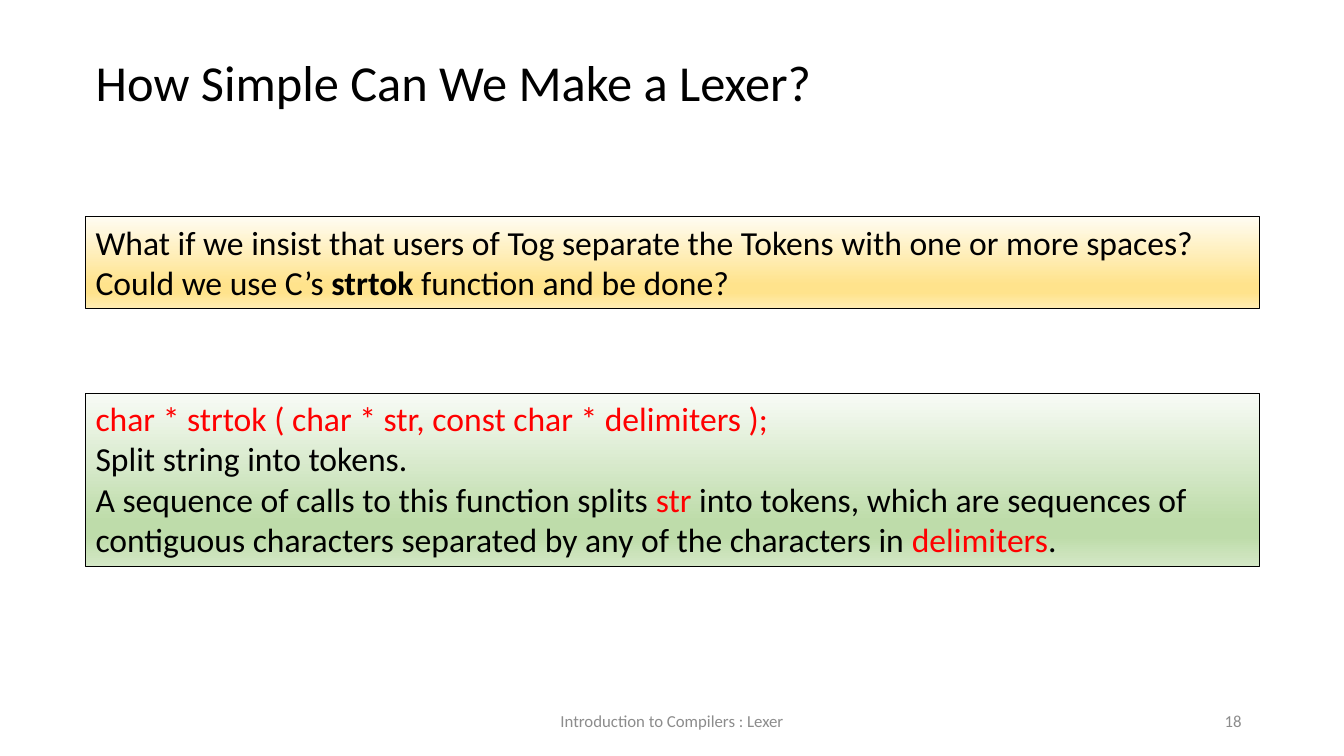
from dataclasses import dataclass

from lxml.etree import SubElement
from pptx import Presentation
from pptx.dml.color import RGBColor
from pptx.enum.shapes import MSO_SHAPE
from pptx.enum.text import MSO_ANCHOR, PP_ALIGN
from pptx.oxml.ns import qn
from pptx.util import Inches, Pt


@dataclass(frozen=True)
class Theme:
    font: str = "Calibri"
    title_size: int = 36
    body_size: int = 24
    footer_size: int = 12
    ink: str = "000000"
    code: str = "FF0000"
    muted: str = "8C8C8C"
    line_width: float = 0.75
    gradient_stops: tuple = (0, 74, 83, 100)
    yellow: tuple = ("FFFCF2", "FFE38C", "FFE38C", "FFECB2")
    green: tuple = ("F8FBF6", "BEDCAA", "BEDCAA", "D4E8C6")


class SlideBuilder:
    COLUMNS = 160
    ROWS = 90

    def __init__(self, presentation, theme):
        self.theme = theme
        self.column = presentation.slide_width / self.COLUMNS
        self.row = presentation.slide_height / self.ROWS
        self.slide = presentation.slides.add_slide(presentation.slide_layouts[5])

    def area(self, left, top, width, height):
        return (
            round(left * self.column),
            round(top * self.row),
            round(width * self.column),
            round(height * self.row),
        )

    def style(self, font, size, color):
        font.name = self.theme.font
        font.size = Pt(size)
        font.color.rgb = RGBColor.from_string(color)

    def title(self, text, *cells):
        shape = self.slide.shapes.title
        shape.left, shape.top, shape.width, shape.height = self.area(*cells)
        frame = shape.text_frame
        frame.text = text
        frame.vertical_anchor = MSO_ANCHOR.TOP
        paragraph = frame.paragraphs[0]
        paragraph.alignment = PP_ALIGN.LEFT
        self.style(paragraph.font, self.theme.title_size, self.theme.ink)

    def footer(self, text, alignment, *cells):
        frame = self.slide.shapes.add_textbox(*self.area(*cells)).text_frame
        frame.word_wrap = True
        frame.vertical_anchor = MSO_ANCHOR.MIDDLE
        frame.text = text
        paragraph = frame.paragraphs[0]
        paragraph.alignment = alignment
        self.style(paragraph.font, self.theme.footer_size, self.theme.muted)

    def fill_gradient(self, shape, colors):
        shape.fill.gradient()
        shape.fill.gradient_angle = 270
        stop_list = shape.fill._xPr.find(".//" + qn("a:gsLst"))
        stop_list.clear()
        for position, color in zip(self.theme.gradient_stops, colors):
            stop = SubElement(stop_list, qn("a:gs"), pos=str(position * 1000))
            SubElement(stop, qn("a:srgbClr"), val=color)

    def panel(self, paragraphs, colors, *cells):
        shape = self.slide.shapes.add_shape(MSO_SHAPE.RECTANGLE, *self.area(*cells))
        shape.shadow.inherit = False
        self.fill_gradient(shape, colors)
        shape.line.color.rgb = RGBColor.from_string(self.theme.ink)
        shape.line.width = Pt(self.theme.line_width)
        frame = shape.text_frame
        frame.word_wrap = True
        frame.vertical_anchor = MSO_ANCHOR.TOP
        for index, pieces in enumerate(paragraphs):
            paragraph = frame.add_paragraph() if index else frame.paragraphs[0]
            paragraph.alignment = PP_ALIGN.LEFT
            for text, emphasis in pieces:
                run = paragraph.add_run()
                run.text = text
                color = self.theme.code if emphasis == "code" else self.theme.ink
                self.style(run.font, self.theme.body_size, color)
                if emphasis == "bold":
                    run.font.bold = True


def main():
    presentation = Presentation()
    presentation.slide_width = Inches(13.33)
    presentation.slide_height = Inches(7.5)
    theme = Theme()
    builder = SlideBuilder(presentation, theme)

    margin, panel_width = 10.2, 139.7
    footer_top, footer_height = 83.4, 4.8

    builder.title("How Simple Can We Make a Lexer?", margin, 5.5, 110, 8.5)
    question = [
        [("What if we insist that users of Tog separate the Tokens with one or more spaces?", "")],
        [("Could we use C’s ", ""), ("strtok", "bold"), (" function and be done?", "")],
    ]
    builder.panel(question, theme.yellow, margin, 25.8, panel_width, 10.9)
    description = [
        [("char * strtok ( char * str, const char * delimiters );", "code")],
        [("Split string into tokens.", "")],
        [
            ("A sequence of calls to this function splits ", ""),
            ("str", "code"),
            (" into tokens, which are sequences of contiguous characters"
             " separated by any of the characters in ", ""),
            ("delimiters", "code"),
            (".", ""),
        ],
    ]
    builder.panel(description, theme.green, margin, 46.8, panel_width, 20.6)
    builder.footer("Introduction to Compilers : Lexer", PP_ALIGN.CENTER,
                   53, footer_top, 54, footer_height)
    builder.footer("18", PP_ALIGN.RIGHT, 113, footer_top, 36, footer_height)

    presentation.save("out.pptx")


if __name__ == "__main__":
    main()
